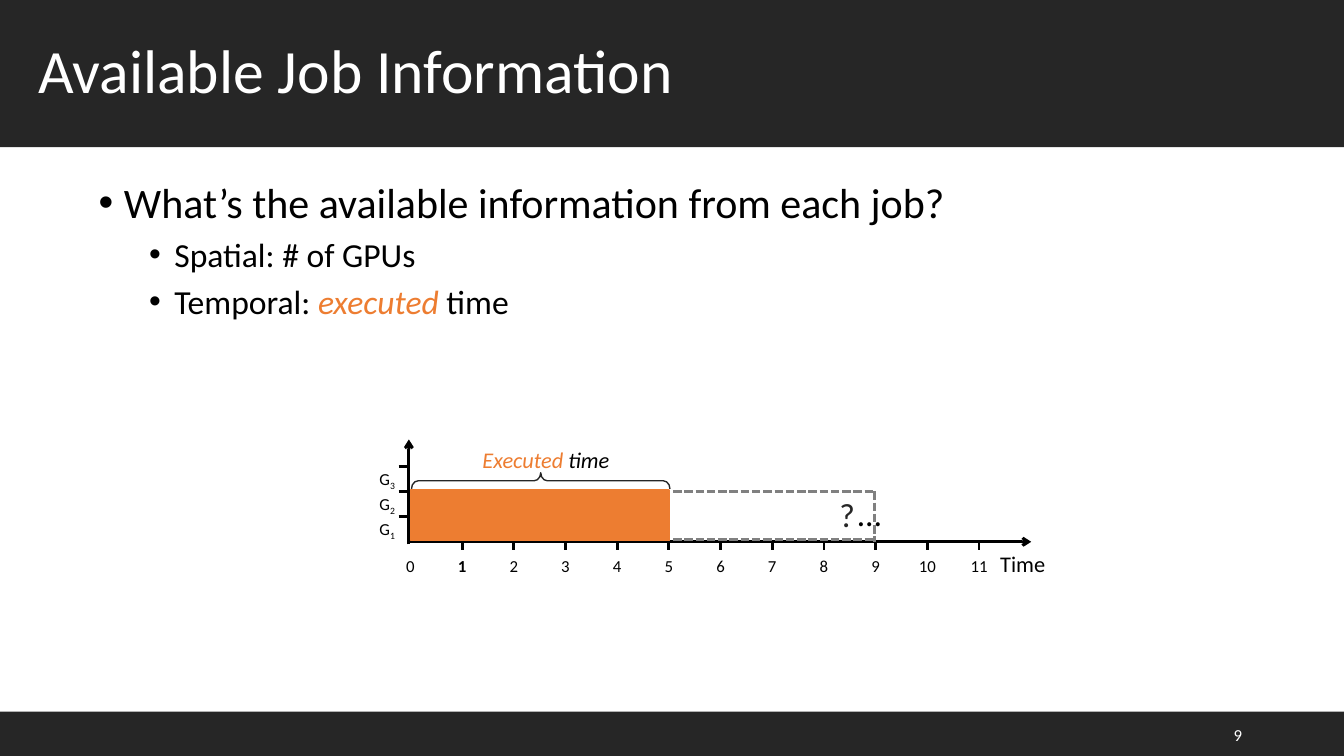
from dataclasses import dataclass

from lxml.etree import SubElement
from pptx import Presentation
from pptx.dml.color import RGBColor
from pptx.enum.dml import MSO_LINE
from pptx.enum.shapes import MSO_CONNECTOR, MSO_SHAPE
from pptx.enum.text import MSO_ANCHOR, MSO_AUTO_SIZE, PP_ALIGN
from pptx.oxml.ns import qn
from pptx.util import Inches, Pt

COLUMNS, ROWS = 26, 30  # one column is one time unit, one row is one GPU
ORIGIN, BASELINE = 7.94, 21.5
EXECUTED, PREDICTED, LAST_TICK = 5, 9, 11
GPUS = 2


@dataclass(frozen=True)
class Theme:
    font: str = "Calibri"
    bar: RGBColor = RGBColor(0x26, 0x26, 0x26)
    ink: RGBColor = RGBColor(0, 0, 0)
    paper: RGBColor = RGBColor(0xFF, 0xFF, 0xFF)
    accent: RGBColor = RGBColor(0xED, 0x7D, 0x31)
    guide: RGBColor = RGBColor(0x80, 0x80, 0x80)
    title: int = 44
    lead: int = 30
    point: int = 24
    caption: int = 16
    label: int = 12
    axis_width: int = 2


class SlideBuilder:
    def __init__(self, deck, theme):
        self.theme = theme
        self.page = deck.slides.add_slide(deck.slide_layouts[5])
        self.column = deck.slide_width / COLUMNS
        self.row = deck.slide_height / ROWS

    def place(self, left, top, width, height):
        """Turn grid units into slide lengths."""
        return (round(left * self.column), round(top * self.row),
                round(width * self.column), round(height * self.row))

    def style(self, font, size, color):
        font.name, font.size = self.theme.font, Pt(size)
        font.color.rgb = color

    def title(self, words, height):
        box = self.page.shapes.title
        box.left, box.top, box.width, box.height = self.place(0, 0, COLUMNS, height)
        box.fill.solid()
        box.fill.fore_color.rgb = self.theme.bar
        frame = box.text_frame
        frame.text = words
        frame.margin_left = Inches(0.38)
        frame.vertical_anchor = MSO_ANCHOR.MIDDLE
        frame.auto_size = MSO_AUTO_SIZE.NONE
        para = frame.paragraphs[0]
        para.alignment, para.line_spacing = PP_ALIGN.LEFT, 0.9
        self.style(para.font, self.theme.title, self.theme.paper)

    def shape(self, kind, area, fill=None, line=None):
        shape = self.page.shapes.add_shape(kind, *self.place(*area))
        shape.shadow.inherit = False
        if fill is None:
            shape.fill.background()
        else:
            shape.fill.solid()
            shape.fill.fore_color.rgb = fill
        if line is None:
            shape.line.fill.background()
        else:
            shape.line.color.rgb = line
            shape.line.width = Pt(1)
        return shape

    def brace_above(self, left, top, width, height):
        """Draw a brace that opens downward over the given area."""
        brace = self.shape(MSO_SHAPE.LEFT_BRACE, (left, top, width, height),
                           line=self.theme.bar)
        span, depth = brace.width, brace.height
        brace.left += (span - depth) // 2
        brace.top -= (span - depth) // 2
        brace.width, brace.height = depth, span
        brace.rotation = 90
        brace.adjustments[0] = 0.413

    def line(self, start, end, color=None, dashed=False, arrow=False):
        begin_x, begin_y, end_x, end_y = self.place(*start, *end)
        connector = self.page.shapes.add_connector(
            MSO_CONNECTOR.STRAIGHT, begin_x, begin_y, end_x, end_y)
        connector.line.color.rgb = color or self.theme.ink
        connector.line.width = Pt(self.theme.axis_width)
        if dashed:
            connector.line.dash_style = MSO_LINE.SQUARE_DOT
            preset = connector.line._ln.find(qn("a:prstDash"))
            preset.set("val", "sysDash")
        if arrow:
            SubElement(connector.line._ln, qn("a:tailEnd"), type="arrow")
        SubElement(connector._element.spPr, qn("a:effectLst"))

    def frame(self, area):
        frame = self.page.shapes.add_textbox(*self.place(*area)).text_frame
        frame.word_wrap = True
        frame.margin_left = frame.margin_right = 0
        return frame

    def text(self, area, words, size, color=None, align=PP_ALIGN.CENTER):
        frame = self.frame(area)
        para = frame.paragraphs[0]
        para.alignment = align
        self.style(para.font, size, color or self.theme.ink)
        para.add_run().text = words
        return frame

    def add_spans(self, para, spans):
        """Add (words, color) pairs as runs; None keeps the paragraph's color."""
        for words, color in spans:
            span = para.add_run()
            span.text = words
            if color is not None:
                span.font.color.rgb = color
                span.font.italic = True

    def bullets(self, area, items):
        """Add a list of (level, spans) items."""
        frame = self.frame(area)
        for index, (level, spans) in enumerate(items):
            para = frame.add_paragraph() if index else frame.paragraphs[0]
            para.level = level
            if index:
                para.space_before = Pt(5)
            properties = para._p.get_or_add_pPr()
            properties.set("marL", str(Inches(0.25 + 0.5 * level)))
            properties.set("indent", str(Inches(-0.25)))
            SubElement(properties, qn("a:buFont"), typeface="Arial")
            SubElement(properties, qn("a:buChar"), char="•")
            size = self.theme.point if level else self.theme.lead
            self.style(para.font, size, self.theme.ink)
            self.add_spans(para, spans)


def draw_axes(slide, theme):
    slide.line((ORIGIN - 0.05, BASELINE), (19.95, BASELINE), arrow=True)
    slide.line((ORIGIN - 0.03, BASELINE + 0.1), (ORIGIN - 0.03, 17.44), arrow=True)
    for time in range(LAST_TICK + 1):
        tick = ORIGIN + time
        if time:
            slide.line((tick, BASELINE), (tick, BASELINE + 0.34))
        label = slide.text((tick - 0.5, 21.84, 1, 1.2), str(time), theme.label)
        if time == 1:
            label.paragraphs[0].font.bold = True
    for gpu in range(1, 4):
        tick = BASELINE - gpu
        slide.line((ORIGIN - 0.23, tick), (ORIGIN - 0.03, tick))
        label = slide.text((6.99, tick - 0.1, 1, 1.2), "G", theme.label)
        subscript = label.paragraphs[0].add_run()
        subscript.text = str(gpu)
        subscript.font._element.set("baseline", "-25000")
    label = slide.text((19.35, 21.84, 1.2, 1.08), "Time", theme.caption,
                       align=PP_ALIGN.LEFT)
    label.margin_top = label.margin_bottom = 0


def draw_job(slide, theme):
    top, bottom = BASELINE - GPUS, BASELINE - 0.1
    start, end = ORIGIN + EXECUTED, ORIGIN + PREDICTED
    for height in (top, bottom):
        slide.line((start - 2.1, height), (end, height), theme.guide, dashed=True)
    slide.line((end - 0.02, top), (end - 0.02, BASELINE), theme.guide, dashed=True)
    slide.shape(MSO_SHAPE.RECTANGLE, (ORIGIN, top - 0.05, EXECUTED, GPUS),
                theme.accent, theme.accent)
    slide.brace_above(ORIGIN + 0.02, 18.76, EXECUTED, 0.64)
    slide.text((15.89, 19.4, 1, 2), "?", theme.point, theme.bar)
    slide.text((16.32, 19.36, 1, 2), "…", theme.point)

    caption = slide.frame((9.24, 17.68, 2.64, 1.08))
    caption.margin_top = caption.margin_bottom = 0
    caption.vertical_anchor = MSO_ANCHOR.MIDDLE
    para = caption.paragraphs[0]
    para.alignment = PP_ALIGN.CENTER
    slide.style(para.font, theme.caption, theme.ink)
    para.font.italic = True
    slide.add_spans(para, [("Executed", theme.accent), (" time", None)])


def main():
    deck = Presentation()
    deck.slide_width, deck.slide_height = Inches(13.33), Inches(7.5)
    theme = Theme()
    slide = SlideBuilder(deck, theme)
    slide.title("Available Job Information", 5.84)
    slide.shape(MSO_SHAPE.RECTANGLE, (0, 28.24, COLUMNS, 1.76), theme.bar)
    number = slide.text((18.37, 28.36, 5.66, 1.6), "9", theme.label, theme.paper,
                        PP_ALIGN.RIGHT)
    number.vertical_anchor = MSO_ANCHOR.MIDDLE
    slide.bullets((1.91, 6.8, 22.04, 8.6), [
        (0, [("What’s the available information from each job?", None)]),
        (1, [("Spatial: # of GPUs", None)]),
        (1, [("Temporal: ", None), ("executed", theme.accent), (" time", None)]),
    ])
    draw_axes(slide, theme)
    draw_job(slide, theme)
    deck.save("out.pptx")


if __name__ == "__main__":
    main()
